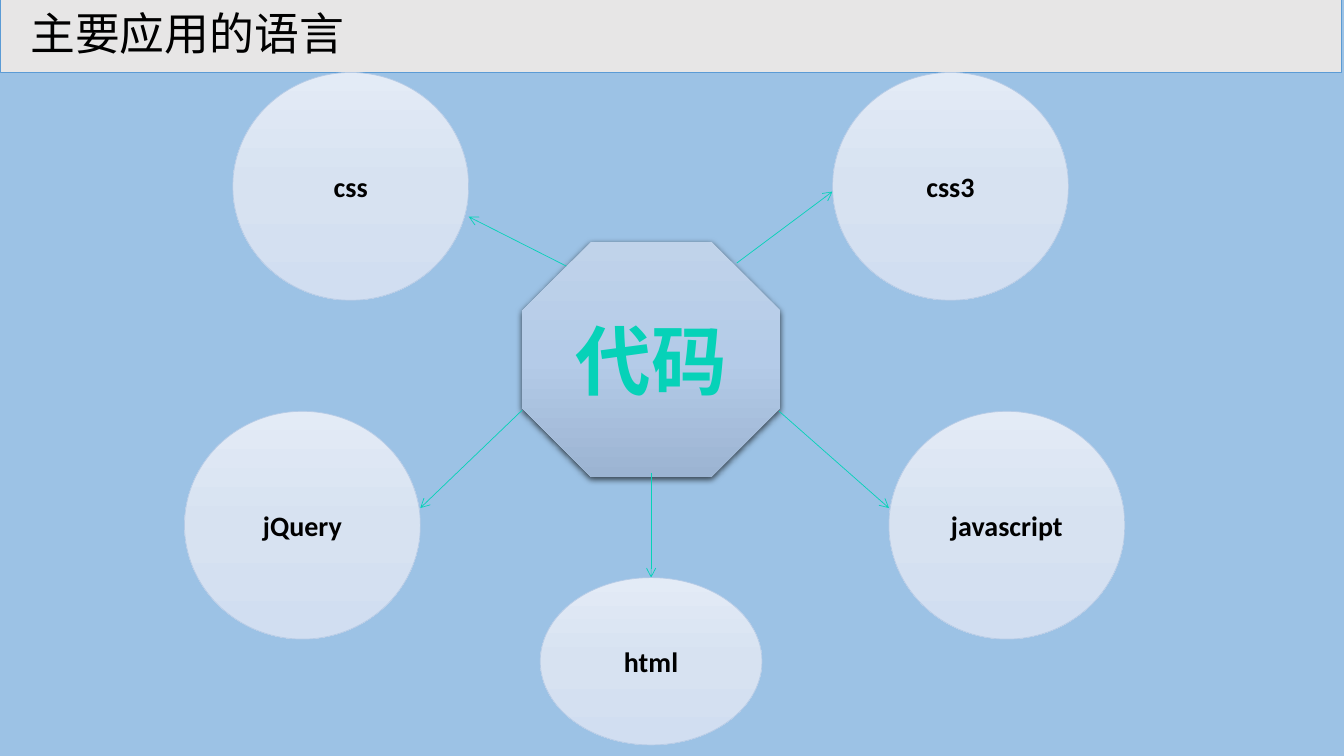
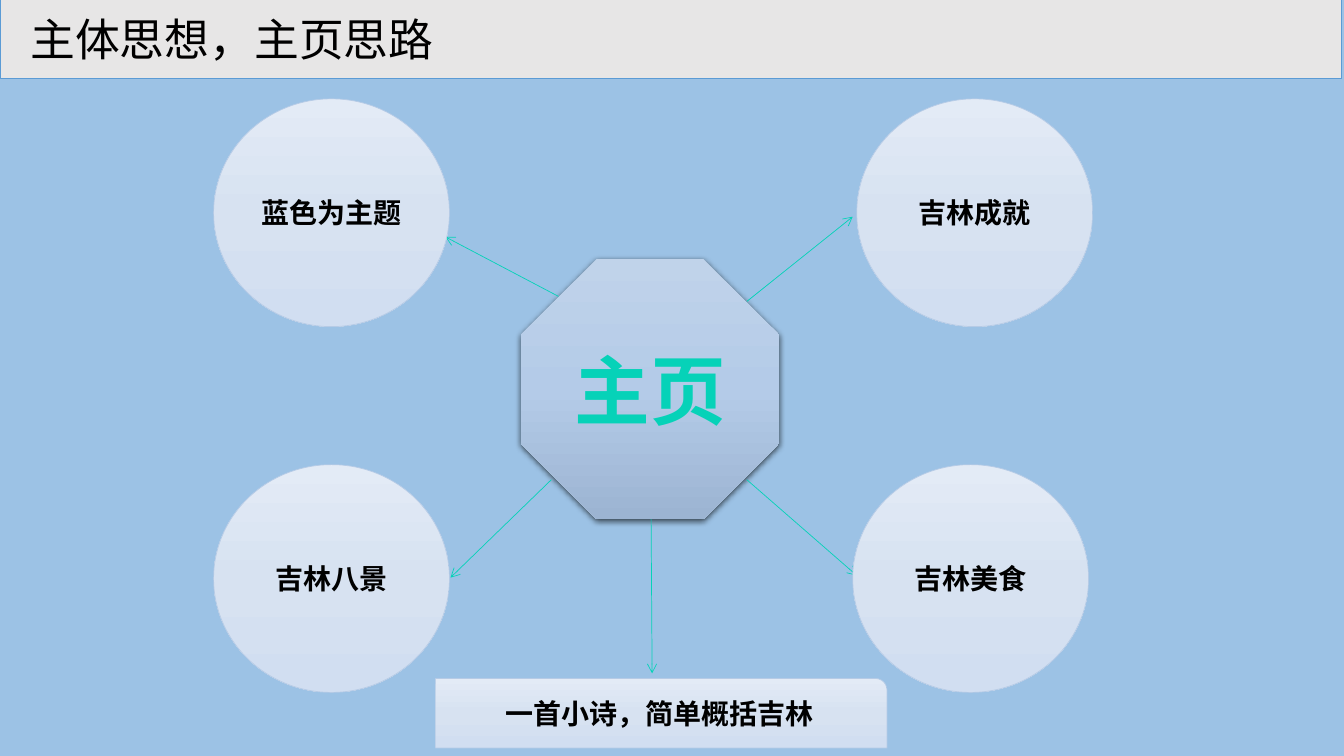
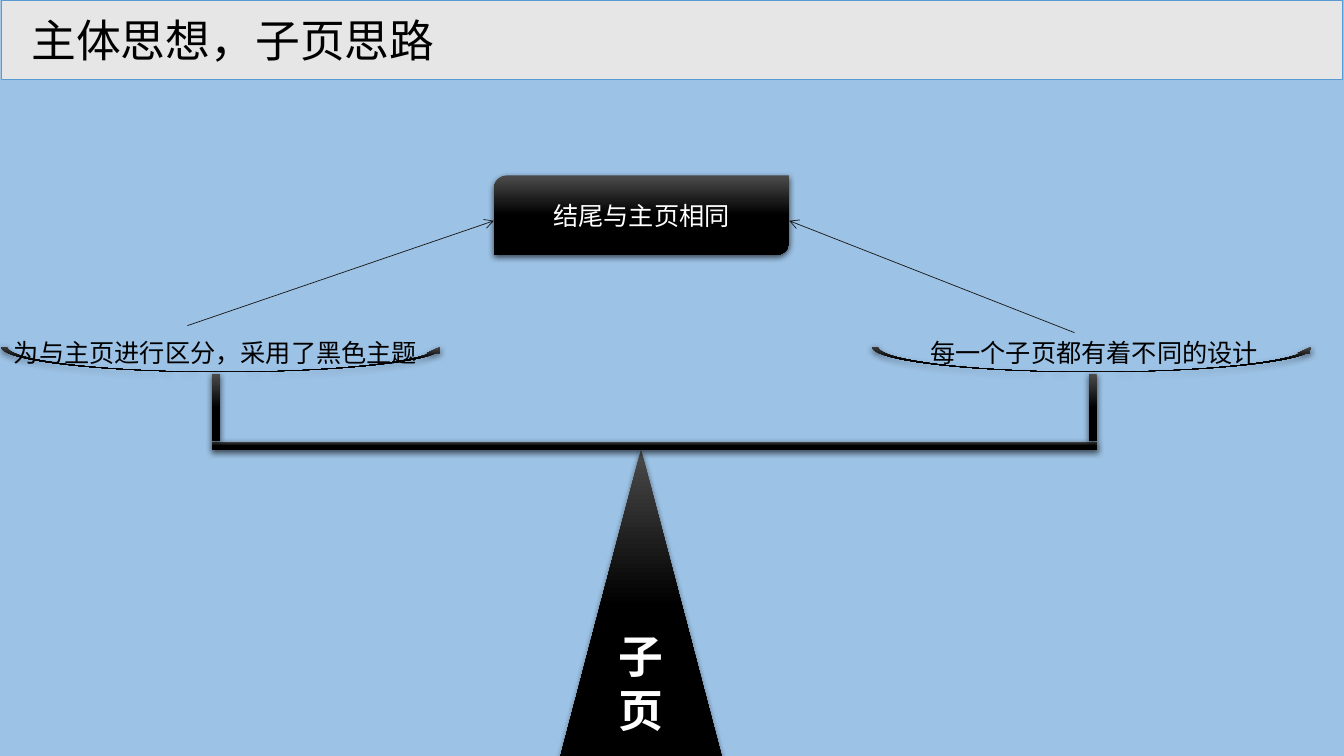
from copy import deepcopy

from lxml.etree import Element, SubElement
from pptx import Presentation
from pptx.dml.color import RGBColor
from pptx.enum.shapes import MSO_CONNECTOR, MSO_SHAPE as Preset
from pptx.enum.text import MSO_ANCHOR as Anchor, MSO_AUTO_SIZE as AutoSize, PP_ALIGN as Align
from pptx.oxml.ns import qn
from pptx.util import Pt

COLORS = {
    "background": "9CC2E5",
    "banner": "E7E6E6",
    "banner_line": "5B9BD5",
    "accent": "06D2B8",
    "topic_line": "B6CBE6",
    "black": "000000",
    "white": "FFFFFF",
    "dark_line": "181717",
}
GRADIENTS = {
    "hub": ("C0D3EA", "B4CBE8", "9CB4D2"),
    "topic": ("E3EBF6", "D7E2F1", "D1DEF1"),
    "dark": ("4B4B4B", "000000", "000000"),
}
LATIN_FONT = "Calibri"
ASIAN_FONT = "Noto Sans CJK SC"
CIRCLE_SIZE = (168.5, 162.7)


def rgb(name):
    return RGBColor.from_string(COLORS[name])


class Deck:
    def __init__(self):
        self.presentation = Presentation()
        self.presentation.slide_width = Pt(960)
        self.presentation.slide_height = Pt(540)
        fill = self.presentation.slide_master.background.fill
        fill.solid()
        fill.fore_color.rgb = rgb("background")
        self.slide = None

    def set_text(self, shape, text, size, color, bold=False, align=Align.CENTER):
        frame = shape.text_frame
        frame.text = text
        paragraph = frame.paragraphs[0]
        paragraph.alignment = align
        font = paragraph.font
        font.name = LATIN_FONT
        font.size = Pt(size)
        font.bold = bold
        font.color.rgb = rgb(color)
        properties = paragraph._p.pPr.find(qn("a:defRPr"))
        SubElement(properties, qn("a:ea"), typeface=ASIAN_FONT)

    def add_slide(self, title, left, top):
        layout = self.presentation.slide_layouts[5]
        self.slide = self.presentation.slides.add_slide(layout)
        banner = self.slide.shapes.title
        banner.left, banner.top = Pt(left), Pt(top)
        banner.width, banner.height = Pt(958.3), Pt(56.9)
        geometry = Element(qn("a:prstGeom"), prst="homePlate")
        guides = SubElement(geometry, qn("a:avLst"))
        SubElement(guides, qn("a:gd"), name="adj", fmla="val 195100")
        banner._element.spPr.insert(1, geometry)
        banner.fill.solid()
        banner.fill.fore_color.rgb = rgb("banner")
        banner.line.color.rgb = rgb("banner_line")
        banner.line.width = Pt(0.5)
        frame = banner.text_frame
        frame.auto_size = AutoSize.NONE
        frame.vertical_anchor = Anchor.MIDDLE
        frame.margin_left = Pt(21.6)
        self.set_text(banner, title, 32, "black", align=Align.LEFT)

    def add_shape(self, preset, left, top, width, height, gradient, line=None, shadow=False):
        shape = self.slide.shapes.add_shape(preset, Pt(left), Pt(top), Pt(width), Pt(height))
        shape.fill.gradient()
        shape.fill.gradient_angle = 270
        stop_list = shape._element.spPr.find(".//" + qn("a:gsLst"))
        stop_list.insert(1, deepcopy(stop_list[0]))
        for stop, position, color in zip(shape.fill.gradient_stops, (0, 0.5, 1), GRADIENTS[gradient]):
            stop.position = position
            stop.color.rgb = RGBColor.from_string(color)
        if line:
            shape.line.color.rgb = rgb(line)
            shape.line.width = Pt(0.5)
        else:
            shape.line.fill.background()
        shape.shadow.inherit = False
        if shadow:
            effects = shape._element.spPr.find(qn("a:effectLst"))
            outer = SubElement(effects, qn("a:outerShdw"), blurRad=str(Pt(4.5)), dist=str(Pt(1.5)),
                               dir="5400000", algn="ctr", rotWithShape="0")
            color = SubElement(outer, qn("a:srgbClr"), val=COLORS["black"])
            SubElement(color, qn("a:alpha"), val="63000")
        shape.text_frame.vertical_anchor = Anchor.MIDDLE
        return shape

    def add_hub(self, text, left, top, width, height):
        hub = self.add_shape(Preset.OCTAGON, left, top, width, height, "hub", shadow=True)
        self.set_text(hub, text, 54, "accent", bold=True)

    def add_topic(self, text, left, top, width, height, preset=Preset.OVAL):
        topic = self.add_shape(preset, left, top, width, height, "topic", line="topic_line")
        self.set_text(topic, text, 20, "black", bold=True)
        return topic

    def add_circles(self, circles):
        for text, left, top in circles:
            self.add_topic(text, left, top, *CIRCLE_SIZE)

    def add_dark(self, preset, left, top, width, height):
        return self.add_shape(preset, left, top, width, height, "dark", shadow=True)

    def add_label(self, text, left, top, width, height):
        label = self.slide.shapes.add_textbox(Pt(left), Pt(top), Pt(width), Pt(height))
        label.text_frame.word_wrap = False
        label.text_frame.auto_size = AutoSize.SHAPE_TO_FIT_TEXT
        self.set_text(label, text, 18, "black", align=Align.LEFT)

    def add_arrow(self, start_x, start_y, end_x, end_y, color="accent"):
        arrow = self.slide.shapes.add_connector(
            MSO_CONNECTOR.STRAIGHT, Pt(start_x), Pt(start_y), Pt(end_x), Pt(end_y))
        arrow.line.color.rgb = rgb(color)
        arrow.line.width = Pt(0.5)
        properties = arrow._element.spPr
        SubElement(properties.find(qn("a:ln")), qn("a:tailEnd"), type="arrow")
        SubElement(properties, qn("a:effectLst"))
        return arrow


def build_languages(deck):
    deck.add_slide("主要应用的语言", 0, -5)
    deck.add_hub("代码", 373, 172.8, 184.3, 167.8)
    for ends in (
        (526.3, 187.9, 594.7, 136.8),
        (556.6, 293.8, 635, 362.9),
        (373, 293, 300.2, 362.9),
        (404.6, 190.1, 334.8, 154.8),
    ):
        deck.add_arrow(*ends)
    deck.add_circles((
        ("css3", 594.7, 51.8),
        ("javascript", 635, 293.8),
        ("jQuery", 131.8, 293.8),
        ("css", 166.3, 51.8),
    ))
    html_arrow = deck.add_arrow(465.1, 337.7, 465.1, 412.6)
    html_topic = deck.add_topic("html", 385.9, 412.6, 158.4, 119.5)
    html_arrow.end_connect(html_topic, 0)


def build_home_page(deck):
    deck.add_slide("主体思想，主页思路", 0, -1)
    deck.add_hub("主页", 372.2, 185, 184.3, 185.8)
    for ends in (
        (533.5, 215.3, 609.1, 154.8),
        (533.5, 342.7, 612, 411.1),
        (393.8, 342.7, 321.8, 412.6),
        (398.9, 211.7, 318.2, 169.2),
        (465.1, 370.8, 465.8, 481),
    ):
        deck.add_arrow(*ends)
    deck.add_circles((
        ("吉林成就", 612, 70.6),
        ("吉林美食", 609.1, 331.9),
        ("吉林八景", 152.6, 331.9),
        ("蓝色为主题", 152.6, 70.6),
    ))
    deck.add_topic("一首小诗，简单概括吉林", 311, 484.6, 322.6, 49.7, Preset.ROUND_1_RECTANGLE)


def build_sub_pages(deck):
    deck.add_slide("主体思想，子页思路", 0.7, 0)
    pivot = deck.add_dark(Preset.ISOSCELES_TRIANGLE, 399.6, 321.1, 116.6, 221.8)
    deck.set_text(pivot, "子页", 32, "white", bold=True)
    deck.add_dark(Preset.RECTANGLE, 151.2, 315.4, 632.2, 5.8)
    for pan_left, post_left in ((622.8, 777.6), (0.7, 151.2)):
        deck.add_dark(Preset.CURVED_UP_ARROW, pan_left, 247.7, 318.2, 18)
        deck.add_dark(Preset.RECTANGLE, post_left, 267.1, 5.8, 48.2)
    deck.add_label("每一个子页都有着不同的设计", 657.4, 237.6, 248.4, 28.8)
    deck.add_label("为与主页进行区分，采用了黑色主题", 2.9, 237.6, 302.4, 28.8)
    deck.add_arrow(133.9, 232.6, 352.8, 157.7, "dark_line")
    deck.add_arrow(767.5, 237.6, 563.8, 157.7, "dark_line")
    ending = deck.add_dark(Preset.ROUND_2_DIAG_RECTANGLE, 352.8, 125.3, 211, 56.9)
    deck.set_text(ending, "结尾与主页相同", 18, "white")


def main():
    deck = Deck()
    build_languages(deck)
    build_home_page(deck)
    build_sub_pages(deck)
    deck.presentation.save("out.pptx")


if __name__ == "__main__":
    main()
